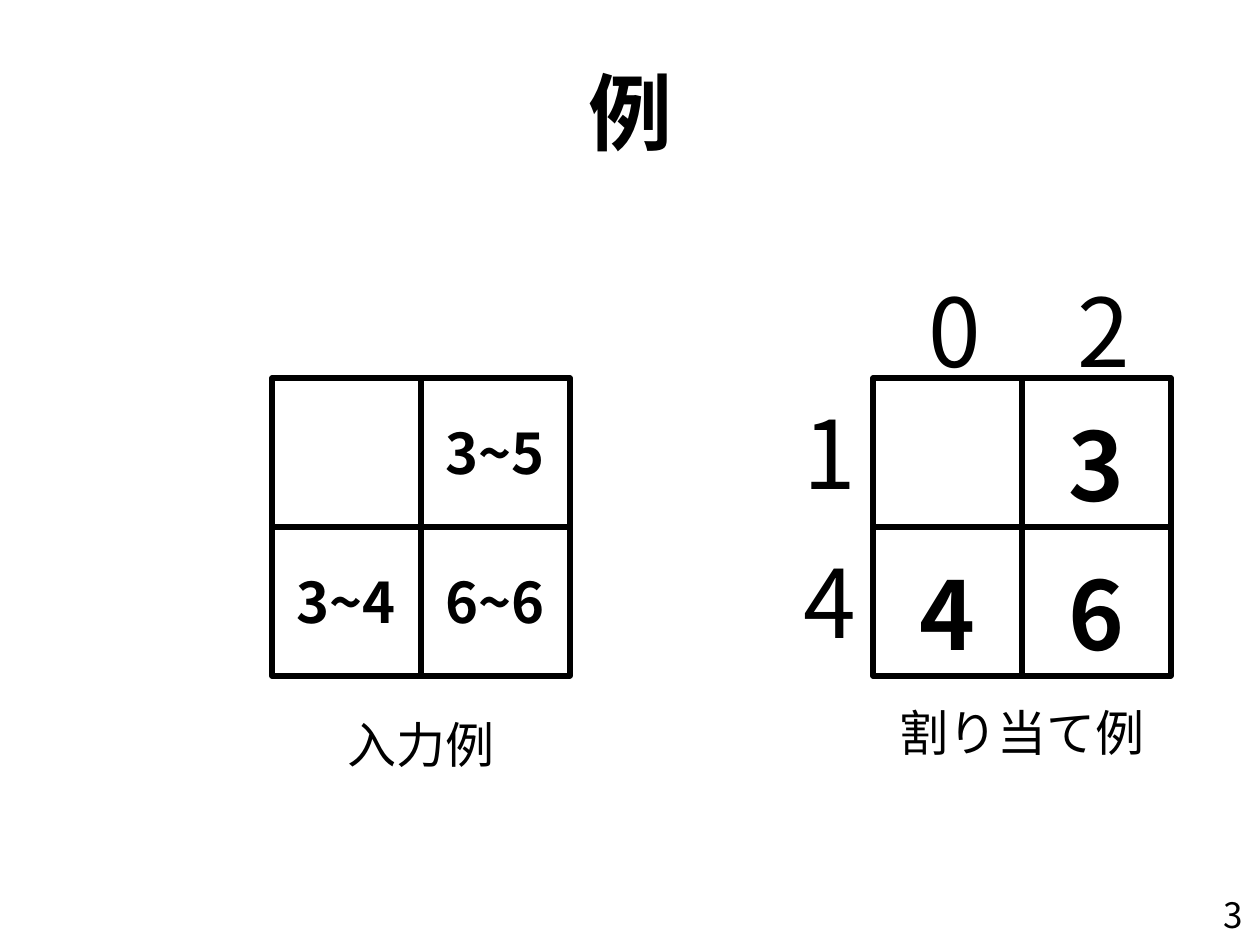
from dataclasses import dataclass

from lxml import etree
from pptx import Presentation
from pptx import util as u
from pptx.dml.color import RGBColor
from pptx.enum import shapes, text
from pptx.oxml import ns

PX = u.Inches(1) // 126
BLACK = RGBColor(0, 0, 0)
WHITE = RGBColor(255, 255, 255)
FONT = "Noto Sans CJK JP"
CELL = 149
GRID_TOP = 378
DIGIT_SIZE = 54.1


@dataclass
class Grid:
    left: int
    values: list[list[str]]
    size: float
    anchor: text.MSO_ANCHOR
    caption: str
    caption_top: int
    column_labels: str = ""
    row_labels: str = ""


GRIDS = [
    Grid(873, [["", "3"], ["4", "6"]], DIGIT_SIZE, text.MSO_ANCHOR.BOTTOM,
         "割り当て例", 696, column_labels="02", row_labels="14"),
    Grid(272, [["", "3~5"], ["3~4", "6~6"]], 32, text.MSO_ANCHOR.MIDDLE,
         "入力例", 708),
]


def px(*lengths: int) -> list[int]:
    return [length * PX for length in lengths]


def write(shape, words: str, *, size: float, bold: bool = False,
          align=text.PP_ALIGN.CENTER, anchor=text.MSO_ANCHOR.TOP) -> None:
    """Put one formatted line of text into a shape."""
    frame = shape.text_frame
    frame.word_wrap = True
    frame.vertical_anchor = anchor
    para = frame.paragraphs[0]
    para.alignment = align
    span = para.add_run()
    span.text = words
    font = span.font
    font.size, font.bold, font.name = u.Pt(size), bold, FONT
    font.color.rgb = BLACK
    east_asian = etree.SubElement(span._r.get_or_add_rPr(), ns.qn("a:ea"))
    east_asian.set("typeface", FONT)


def add_label(parent, words: str, left: int, top: int, width: int,
              height: int, **style) -> None:
    box = parent.shapes.add_textbox(*px(left, top, width, height))
    write(box, words, **style)


def add_cell(parent, words: str, left: int, top: int, **style) -> None:
    cell = parent.shapes.add_shape(shapes.MSO_SHAPE.RECTANGLE,
                                   *px(left, top, CELL, CELL))
    cell.shadow.inherit = False
    cell.fill.solid()
    cell.fill.fore_color.rgb = WHITE
    # Quarter-opaque fill
    colour = cell._element.spPr.find(".//" + ns.qn("a:srgbClr"))
    etree.SubElement(colour, ns.qn("a:alpha")).set("val", "25000")
    cell.line.color.rgb = BLACK
    cell.line.width = u.Pt(3)
    if words:
        write(cell, words, bold=True, **style)


def add_grid(page, grid: Grid) -> None:
    group = page.shapes.add_group_shape()
    for row, values in enumerate(grid.values):
        for column, value in enumerate(values):
            add_cell(group, value, grid.left + column * CELL,
                     GRID_TOP + row * CELL, size=grid.size, anchor=grid.anchor)
    # Labels above the columns and left of the rows
    for column, label in enumerate(grid.column_labels):
        add_label(group, label, grid.left + 43 + column * CELL, GRID_TOP - 111,
                  62, 127, size=DIGIT_SIZE)
    for row, label in enumerate(grid.row_labels):
        add_label(group, label, grid.left - 82, GRID_TOP + 11 + row * CELL,
                  62, 127, size=DIGIT_SIZE)
    add_label(page, grid.caption, grid.left - 25, grid.caption_top,
              2 * CELL + 50, 72, size=28)


def main() -> None:
    deck = Presentation()
    deck.slide_width, deck.slide_height = px(1260, 945)
    page = deck.slides.add_slide(deck.slide_layouts[5])

    # Title
    title = page.shapes.title
    title.left, title.top, title.width, title.height = px(25, 26, 1211, 169)
    write(title, "例", size=48, bold=True, anchor=text.MSO_ANCHOR.MIDDLE)

    # Page number
    add_label(page, "3", 961, 890, 294, 50, size=20,
              align=text.PP_ALIGN.RIGHT, anchor=text.MSO_ANCHOR.MIDDLE)

    # Grids with their captions
    for grid in GRIDS:
        add_grid(page, grid)

    deck.save("out.pptx")


if __name__ == "__main__":
    main()
